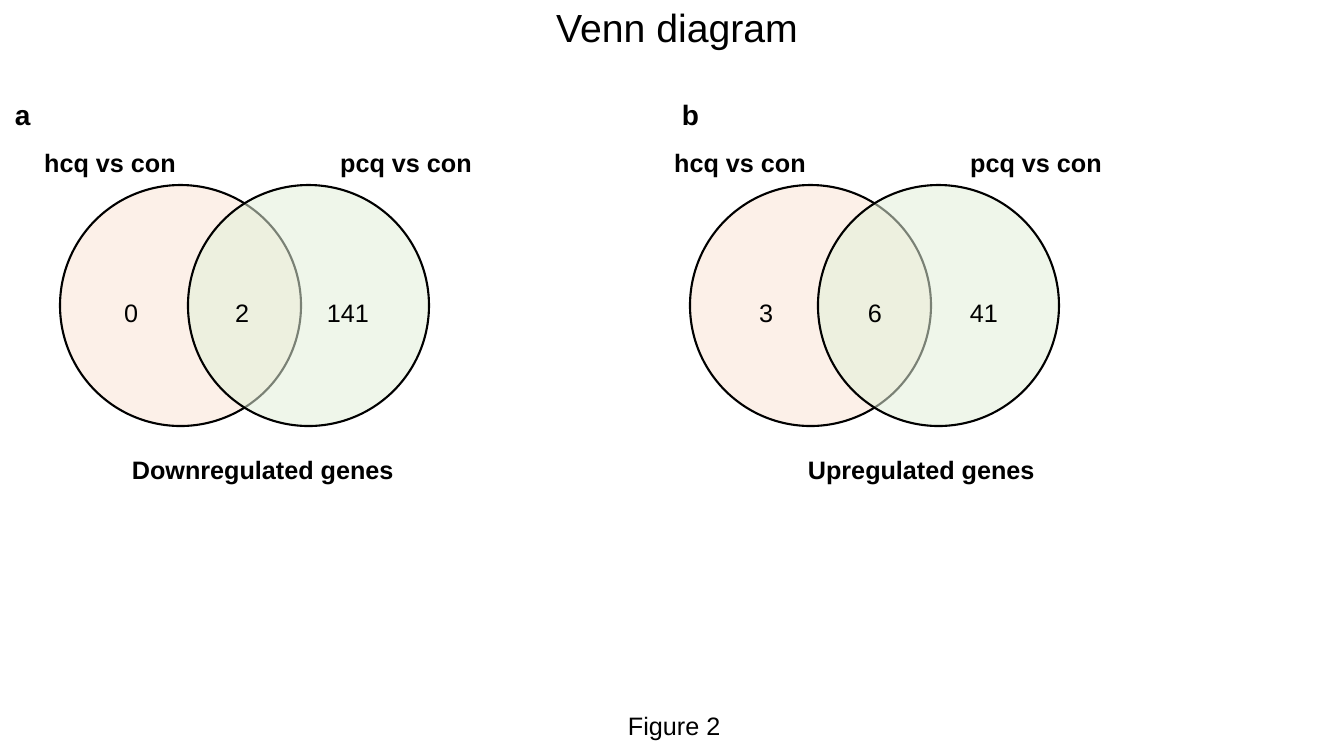
from dataclasses import dataclass
from lxml import etree
from pptx import Presentation
from pptx.dml.color import RGBColor
from pptx.enum.shapes import MSO_SHAPE
from pptx.enum.text import MSO_AUTO_SIZE, PP_ALIGN
from pptx.oxml.ns import qn
from pptx.util import Emu, Pt

OVAL = MSO_SHAPE.OVAL
LEFT, CENTER = PP_ALIGN.LEFT, PP_ALIGN.CENTER
FIT = MSO_AUTO_SIZE.SHAPE_TO_FIT_TEXT
EMU_PER_PX = 914400 / 100.8


def px(n):
    return Emu(round(n * EMU_PER_PX))


@dataclass(frozen=True)
class Theme:
    font: str = "Arial"
    ink: str = "000000"
    hcq: str = "FBE5D6"
    pcq: str = "E2F0D9"
    opacity: int = 54
    outline: float = 1.5
    title: int = 28
    letter: int = 20
    body: int = 18


class Figure:
    def __init__(self, slide, theme):
        self.slide, self.theme = slide, theme

    def circle(self, x, y, size, color):
        s = self.slide.shapes.add_shape(OVAL, px(x), px(y), px(size), px(size))
        s.shadow.inherit = False
        s.fill.solid()
        s.fill.fore_color.rgb = RGBColor.from_string(color)
        clr = s.fill._xPr.find(qn("a:solidFill"))[0]
        alpha = etree.SubElement(clr, qn("a:alpha"))
        alpha.set("val", str(self.theme.opacity * 1000))
        s.line.color.rgb = RGBColor.from_string(self.theme.ink)
        s.line.width = Pt(self.theme.outline)

    def text(self, x, y, w, h, text, size, bold=False, align=LEFT, wrap=True):
        tf = self.slide.shapes.add_textbox(px(x), px(y), px(w), px(h)).text_frame
        tf.text = text
        tf.word_wrap = wrap
        tf.auto_size = FIT
        p = tf.paragraphs[0]
        p.alignment = align
        font = p.runs[0].font
        font.name, font.size, font.bold = self.theme.font, Pt(size), bold
        font.color.rgb = RGBColor.from_string(self.theme.ink)

    def label(self, center, y, w, text, bold=False):
        self.text(center - w / 2, y, w, 40, text, self.theme.body, bold,
                  CENTER, wrap=False)


theme = Theme()
prs = Presentation()
prs.slide_width, prs.slide_height = px(1344), px(756)
fig = Figure(prs.slides.add_slide(prs.slide_layouts[6]), theme)

# Title and figure number
fig.text(5, -2, 1344, 57, "Venn diagram", theme.title, align=CENTER)
fig.text(618, 705, 133, 40, "Figure 2", theme.body)

# Panels: origin, letter and its x, counts with their centres, caption and its x
PANELS = [
    (0, "a", 5, [("0", 131), ("2", 242), ("141", 348)],
     "Downregulated genes", 122),
    (630, "b", 672, [("3", 766), ("6", 875), ("41", 984)],
     "Upregulated genes", 798),
]
# Sets: name, name centre, circle left, colour
SETS = [("hcq vs con", 110, 60, theme.hcq), ("pcq vs con", 406, 188, theme.pcq)]

for origin, letter, letter_x, counts, caption, caption_x in PANELS:
    fig.text(letter_x, 93, 41, 44, letter, theme.letter, bold=True)
    for name, center, left, color in SETS:
        fig.circle(origin + left, 185, 241, color)
        fig.label(origin + center, 142, 153, name, bold=True)
    for count, center in counts:
        fig.label(center, 292, 20 + 14 * len(count), count)
    fig.text(caption_x, 449, 330, 40, caption, theme.body, bold=True)

prs.save("out.pptx")
